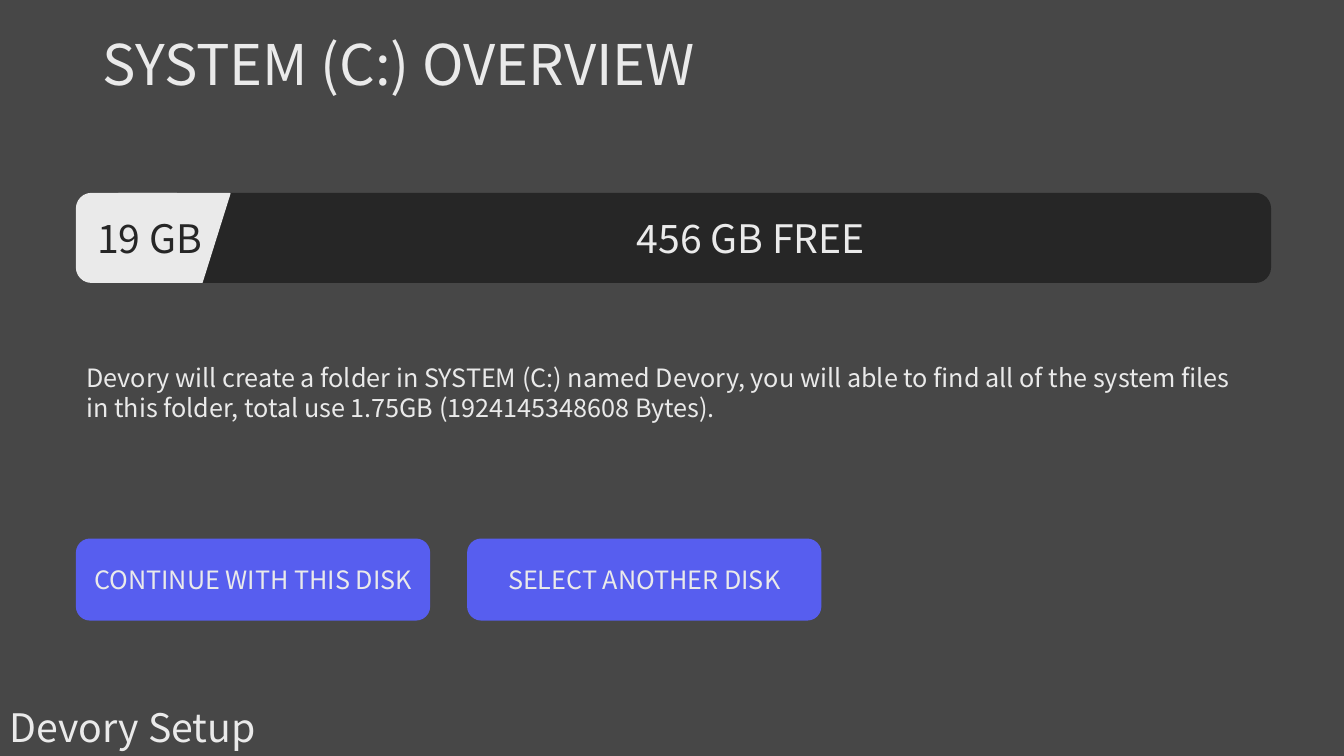
from dataclasses import dataclass
from typing import Any

from pptx import Presentation
from pptx.dml.color import RGBColor
from pptx.enum.shapes import MSO_SHAPE as Preset
from pptx.enum.text import MSO_ANCHOR as Anchor, MSO_AUTO_SIZE as AutoSize, PP_ALIGN as Align
from pptx.util import Inches, Pt

FONT = "Noto Sans CJK SC"
COLORS = {"page": "474747", "dark": "262626", "light": "EAEAEA", "button": "575EEF"}
EDGE = 0.76
BAR_TOP, BAR_HEIGHT = 1.92, 0.88
BUTTON_STEP = 3.88


@dataclass(frozen=True)
class Area:
    left: float
    top: float
    width: float
    height: float

    def lengths(self) -> tuple:
        return tuple(Inches(v) for v in (self.left, self.top, self.width, self.height))


@dataclass(frozen=True)
class Panel:
    area: Area
    color: str
    preset: Preset = Preset.ROUNDED_RECTANGLE


@dataclass(frozen=True)
class Label:
    area: Area
    lines: tuple[str, ...]
    size: int
    color: str = "light"
    align: Align = Align.LEFT
    wrap: bool = True


TITLE = Label(Area(0.92, 0.24, 6.14, 0.77), ("SYSTEM (C:) OVERVIEW",), 40, wrap=False)
PAGE_LABELS = (
    Label(Area(0, 6.93, 3.41, 0.57), ("Devory Setup",), 28),
    Label(
        Area(EDGE, 3.54, 11.7, 0.71),
        (
            "Devory will create a folder in SYSTEM (C:) named Devory, "
            "you will able to find all of the system files",
            "in this folder, total use 1.75GB (1924145348608 Bytes).",
        ),
        18,
        wrap=False,
    ),
)
BAR_PANELS = (
    Panel(Area(EDGE, BAR_TOP, 11.84, BAR_HEIGHT), "dark"),
    Panel(Area(EDGE, BAR_TOP, 1.13, BAR_HEIGHT), "light"),
    Panel(Area(0.9, BAR_TOP, 1.38, BAR_HEIGHT), "light", Preset.FLOWCHART_DATA),
)
BAR_LABELS = (
    Label(Area(2.28, 2.08, 10.33, 0.57), ("456 GB FREE",), 28, align=Align.CENTER),
    Label(Area(0.21, 2.08, 2.55, 0.57), ("19 GB",), 28, "dark", Align.CENTER),
)
BUTTONS = ("CONTINUE WITH THIS DISK", "SELECT ANOTHER DISK")


def rgb(name: str) -> RGBColor:
    """Return the named colour."""
    return RGBColor.from_string(COLORS[name])


def write(frame: Any, label: Label) -> None:
    """Fill a text frame with the lines of a label."""
    frame.word_wrap = label.wrap
    for index, line in enumerate(label.lines):
        para = frame.add_paragraph() if index else frame.paragraphs[0]
        para.alignment = label.align
        span = para.add_run()
        span.text = line
        span.font.name = FONT
        span.font.size = Pt(label.size)
        span.font.color.rgb = rgb(label.color)


def draw_label(shapes: Any, label: Label) -> None:
    """Add a text box that grows with its text."""
    box = shapes.add_textbox(*label.area.lengths())
    write(box.text_frame, label)
    box.text_frame.auto_size = AutoSize.SHAPE_TO_FIT_TEXT


def draw_panel(shapes: Any, panel: Panel) -> Any:
    """Add a filled preset shape outlined in its own colour."""
    box = shapes.add_shape(panel.preset, *panel.area.lengths())
    box.shadow.inherit = False
    box.fill.solid()
    box.fill.fore_color.rgb = rgb(panel.color)
    box.line.color.rgb = rgb(panel.color)
    box.line.width = Pt(1)
    return box


def draw_title(page: Any) -> None:
    """Place and format the title placeholder."""
    title = page.shapes.title
    title.left, title.top, title.width, title.height = TITLE.area.lengths()
    write(title.text_frame, TITLE)
    title.text_frame.vertical_anchor = Anchor.TOP
    title.text_frame.auto_size = AutoSize.SHAPE_TO_FIT_TEXT


def draw_usage_bar(page: Any) -> None:
    """Draw the disk usage bar as one group."""
    bar = page.shapes.add_group_shape()
    for panel in BAR_PANELS:
        draw_panel(bar.shapes, panel)
    for label in BAR_LABELS:
        draw_label(bar.shapes, label)


def draw_buttons(page: Any) -> None:
    """Draw the row of buttons at an equal step."""
    for index, caption in enumerate(BUTTONS):
        area = Area(EDGE + index * BUTTON_STEP, 5.35, 3.5, 0.8)
        button = draw_panel(page.shapes, Panel(area, "button"))
        write(button.text_frame, Label(area, (caption,), 18, align=Align.CENTER))
        button.text_frame.vertical_anchor = Anchor.MIDDLE


def main() -> None:
    """Build and save the slide."""
    deck = Presentation()
    deck.slide_width, deck.slide_height = Inches(13.33), Inches(7.5)
    page = deck.slides.add_slide(deck.slide_layouts.get_by_name("Title Only"))
    page.background.fill.solid()
    page.background.fill.fore_color.rgb = rgb("page")
    draw_title(page)
    draw_usage_bar(page)
    for label in PAGE_LABELS:
        draw_label(page.shapes, label)
    draw_buttons(page)
    deck.save("out.pptx")


if __name__ == "__main__":
    main()
